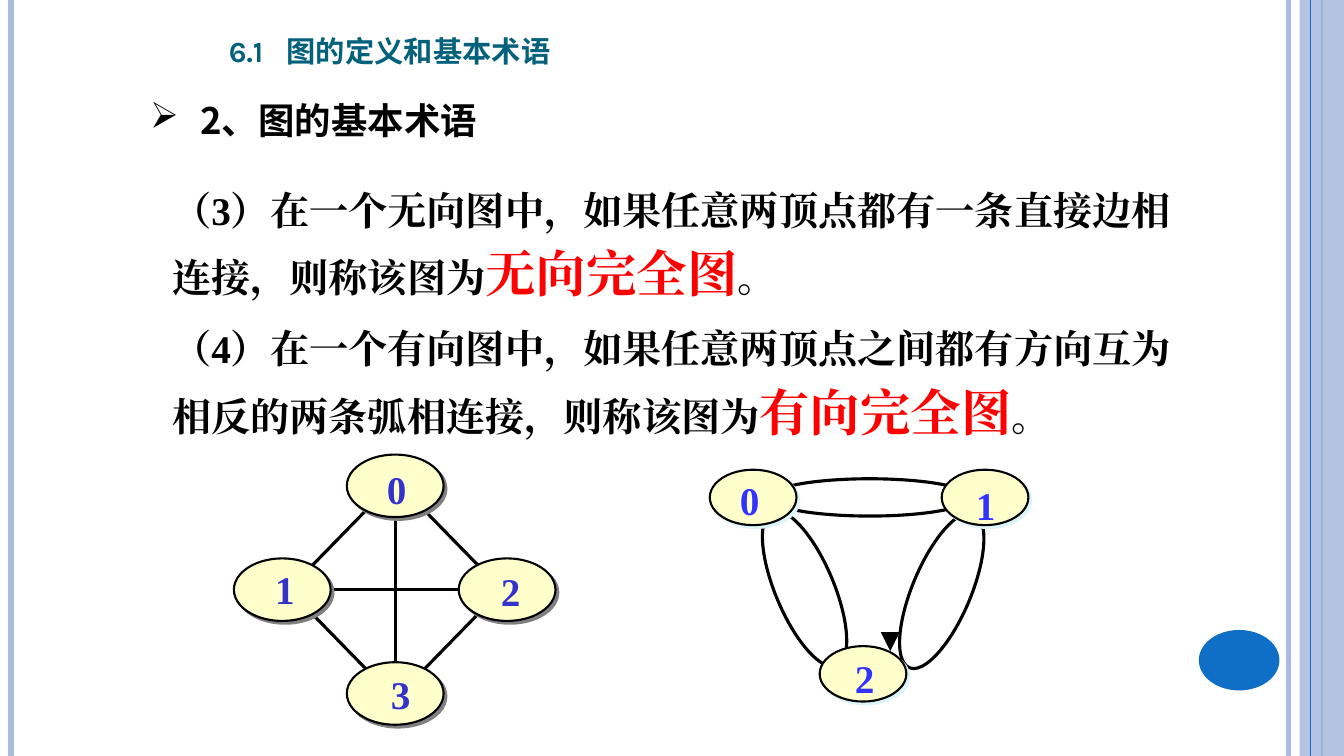
from itertools import product

from lxml.etree import SubElement
from pptx import Presentation
from pptx.dml.color import RGBColor
from pptx.enum.shapes import MSO_CONNECTOR, MSO_SHAPE
from pptx.enum.text import MSO_ANCHOR, PP_ALIGN
from pptx.oxml.ns import qn
from pptx.util import Pt

PX = 9144  # 100 px to the inch
TITLE_ONLY = 5
SERIF, SANS, HEAD = "Times New Roman", "Noto Sans CJK SC", "Karla"
COLORS = {name: RGBColor.from_string(value) for name, value in {
    "pale": "ABBBDF", "blue": "0F6FC6", "black": "000000", "red": "FF0000",
    "title": "04617B", "node": "FFFFCC", "undirected": "3333CC",
    "directed": "3333FF", "gray_shadow": "808080", "ice_shadow": "DBF5F9",
}.items()}

presentation = Presentation()
presentation.slide_width, presentation.slide_height = 1333 * PX, 750 * PX
slide = presentation.slides.add_slide(presentation.slide_layouts[TITLE_ONLY])
shapes = slide.shapes


def add_line(x1, y1, x2, y2, color, width):
    line = shapes.add_connector(MSO_CONNECTOR.STRAIGHT, x1 * PX, y1 * PX, x2 * PX, y2 * PX)
    line.line.color.rgb = COLORS[color]
    line.line.width = Pt(width)
    SubElement(line._element.spPr, qn("a:effectLst"))
    return line


def add_ellipse(left, top, width, height, fill=None, line_width=None, shadow=None):
    ellipse = shapes.add_shape(MSO_SHAPE.OVAL, left * PX, top * PX, width * PX, height * PX)
    ellipse.shadow.inherit = False
    if fill:
        ellipse.fill.solid()
        ellipse.fill.fore_color.rgb = COLORS[fill]
    else:
        ellipse.fill.background()
    if line_width:
        ellipse.line.color.rgb = COLORS["black"]
        ellipse.line.width = Pt(line_width)
    else:
        ellipse.line.fill.background()
    if shadow:
        effects = ellipse._element.spPr.find(qn("a:effectLst"))
        outer = SubElement(effects, qn("a:outerShdw"), dist=str(Pt(2.8)), dir="2700000",
                           algn="ctr", rotWithShape="0")
        SubElement(outer, qn("a:srgbClr"), val=str(COLORS[shadow]))
    return ellipse


# Frame along both sides
for x, color, width in [(1278, "pale", 3), (11, "pale", 4.5), (1311, "blue", 1.5)]:
    add_line(x, 0, x, 750, color, width)
band = shapes.add_shape(MSO_SHAPE.RECTANGLE, 1289 * PX, 0, 44 * PX, 750 * PX)
band.shadow.inherit = False
band.fill.solid()
band.fill.fore_color.rgb = COLORS["pale"]
band.line.fill.background()
SubElement(band._element.spPr.find(".//" + qn("a:srgbClr")), qn("a:alpha"), val="87000")
add_line(1300, 0, 1300, 750, "blue", 0.75)
add_ellipse(1189, 625, 80, 60, "blue")

# Edges of the undirected complete graph
center_x, center_y = 392, 585
for side_x, side_y in product((-1, 1), repeat=2):
    add_line(center_x + 16 * side_x, center_y + 92 * side_y,
             center_x + 96 * side_x, center_y + 10 * side_y, "black", 2.25)
add_line(312, center_y, 487, center_y, "black", 2.25)
add_line(center_x, 502, center_x, 688, "black", 2.25)

# Arcs of the directed complete graph
for left, top, width, height, rotation in [
    (905, 503, 58, 166, 22.8), (769, 501, 58, 166, 337.2), (762, 475, 201, 37, 0),
]:
    add_ellipse(left, top, width, height, line_width=2.25).rotation = rotation

# Nodes: left, top, label left, label top
graphs = [
    ("undirected", "gray_shadow", 96, 62,
     [(344, 451, 374, 457), (232, 554, 263, 556), (455, 554, 487, 558), (344, 657, 378, 660)]),
    ("directed", "ice_shadow", 86, 55,
     [(704, 466, 724, 468), (934, 466, 958, 473), (813, 641, 838, 644)]),
]
for label_color, shadow, width, height, nodes in graphs:
    for number, (left, top, label_left, label_top) in enumerate(nodes):
        add_ellipse(left, top, width, height, "node", 1.5, shadow)
        label = shapes.add_textbox(label_left * PX, label_top * PX, 50 * PX, 57 * PX)
        label.text_frame.word_wrap = True
        paragraph = label.text_frame.paragraphs[0]
        paragraph.text = str(number)
        font = paragraph.font
        font.name, font.size, font.bold = SERIF, Pt(28), True
        font.color.rgb = COLORS[label_color]

arrow = add_line(883, 633, 883, 646, "black", 4.5)
SubElement(arrow.line._get_or_add_ln(), qn("a:tailEnd"), type="triangle")

# Definitions
definitions = [
    ("（3）在一个无向图中，如果任意两顶点都有一条直接边相连接，则称该图为", "无向完全图"),
    ("（4）在一个有向图中，如果任意两顶点之间都有方向互为相反的两条弧相连接，则称该图为", "有向完全图"),
]
body = shapes.add_textbox(161 * PX, 162 * PX, 1048 * PX, 257 * PX).text_frame
body.word_wrap = True
body.margin_top = 16 * PX
for index, (definition, term) in enumerate(definitions):
    paragraph = body.add_paragraph() if index else body.paragraphs[0]
    paragraph.line_spacing = 1.15
    if index:
        paragraph.space_before = Pt(10.5)
    paragraph.font.name, paragraph.font.bold = SERIF, True
    properties = paragraph._p.pPr.find(qn("a:defRPr"))
    SubElement(properties, qn("a:ea"), typeface=SERIF)
    for text, size, color in [(definition, 28, "black"), (term, 36, "red"), ("。", 28, "black")]:
        run = paragraph.add_run()
        run.text = text
        run.font.size = Pt(size)
        run.font.color.rgb = COLORS[color]

# Title
title = shapes.title
title.left, title.top, title.width, title.height = 217 * PX, 13 * PX, 446 * PX, 61 * PX
title.text_frame.vertical_anchor = MSO_ANCHOR.BOTTOM
paragraph = title.text_frame.paragraphs[0]
paragraph.text = "6.1\t图的定义和基本术语"
paragraph.alignment = PP_ALIGN.LEFT
tabs = SubElement(paragraph._p.get_or_add_pPr(), qn("a:tabLst"))
SubElement(tabs, qn("a:tab"), pos=str(57 * PX), algn="l")
font = paragraph.font
font.name, font.size, font.bold = HEAD, Pt(26.2), True
font.color.rgb = COLORS["title"]
properties = paragraph._p.pPr.find(qn("a:defRPr"))
properties.set("cap", "small")
SubElement(properties, qn("a:ea"), typeface=HEAD)

# Section heading
heading = shapes.add_textbox(139 * PX, 84 * PX, 550 * PX, 62 * PX)
heading.text_frame.word_wrap = True
paragraph = heading.text_frame.paragraphs[0]
paragraph.text = "2、图的基本术语"
paragraph.line_spacing = 1.2
properties = paragraph._p.get_or_add_pPr()
properties.set("marL", str(50 * PX))
properties.set("indent", str(-50 * PX))
SubElement(properties, qn("a:buChar"), char="➢")
font = paragraph.font
font.name, font.size, font.bold = SANS, Pt(26), True
font.color.rgb = COLORS["black"]
SubElement(properties.find(qn("a:defRPr")), qn("a:ea"), typeface=SANS)

presentation.save("out.pptx")
